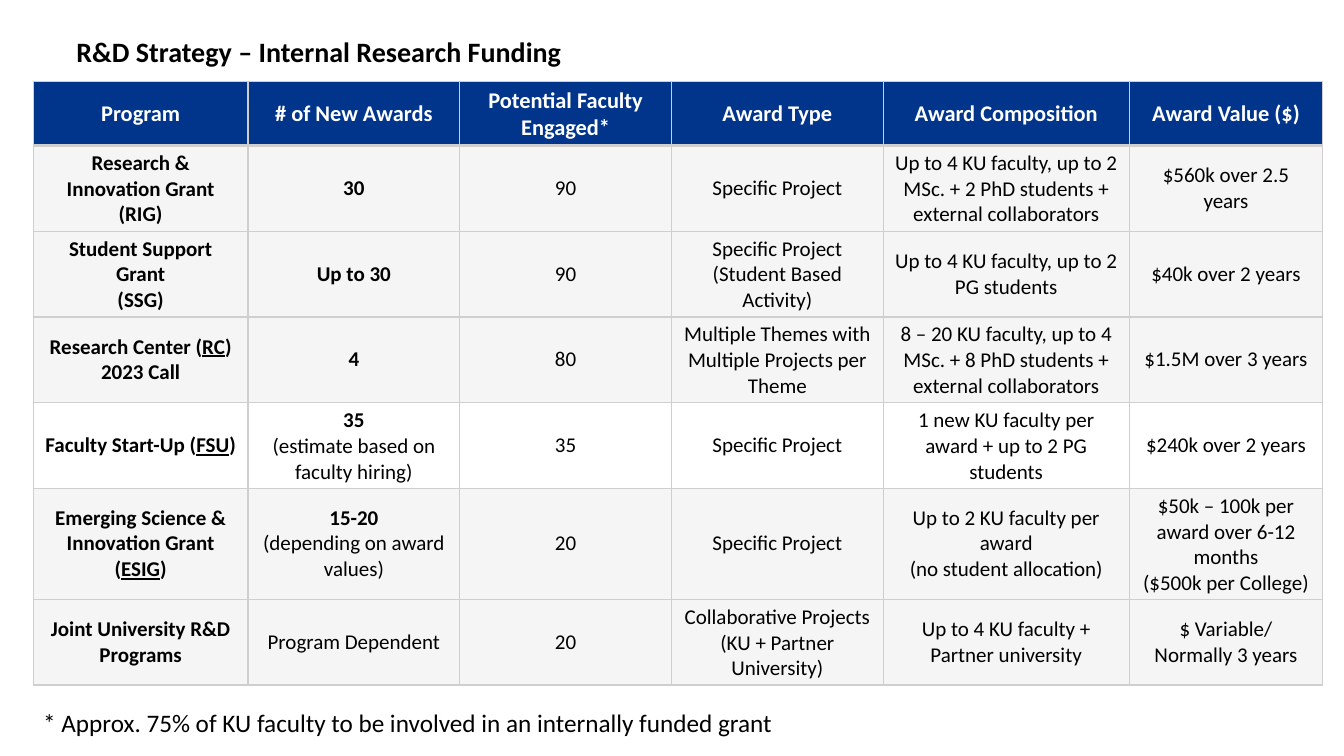
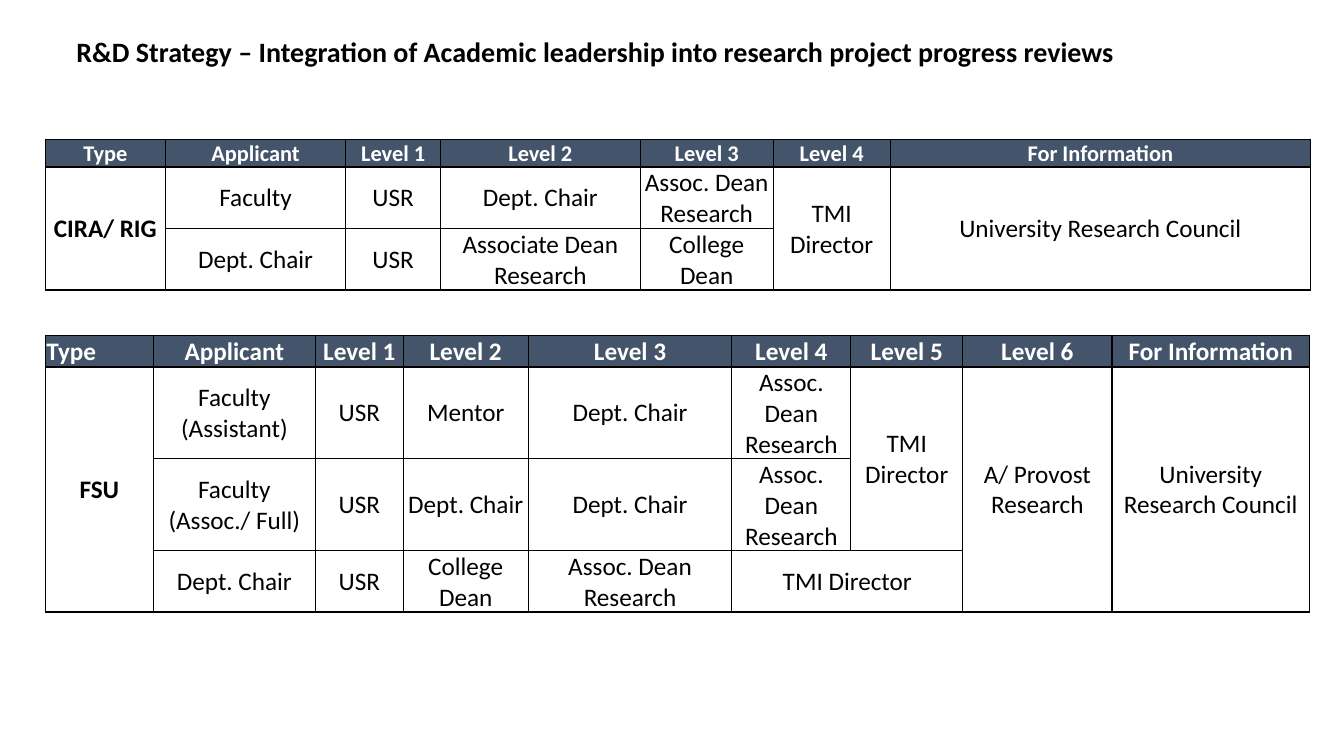
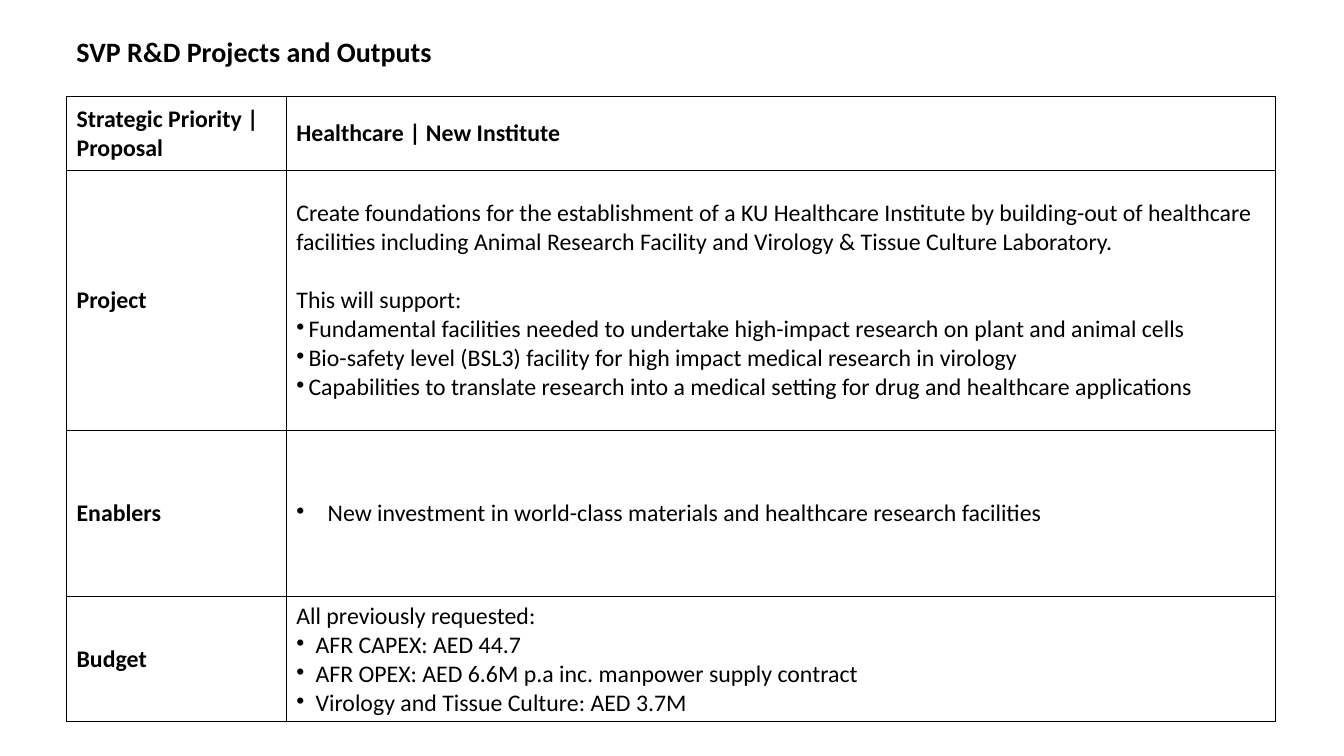
from lxml import etree
from pptx import Presentation
from pptx.dml.color import RGBColor
from pptx.enum.text import MSO_ANCHOR, MSO_AUTO_SIZE, PP_ALIGN
from pptx.oxml.ns import qn
from pptx.util import Inches, Pt

CENTER, LEFT = PP_ALIGN.CENTER, PP_ALIGN.LEFT
TOP, MIDDLE, BOTTOM = MSO_ANCHOR.TOP, MSO_ANCHOR.MIDDLE, MSO_ANCHOR.BOTTOM
GROW = MSO_AUTO_SIZE.SHAPE_TO_FIT_TEXT
FONT = "Calibri"
BLACK, WHITE, BLUE, SLATE, GRAY = "000000", "FFFFFF", "00358B", "44546A", "D0CFCD"
TITLE_BOX = (0.66, 0.29, 11.99, 0.44)
TIGHT = (0.01, 0.01, 0.01, 0)

FUNDING_ROWS = [
    ["Program", "# of New Awards", "Potential Faculty Engaged*", "Award Type",
     "Award Composition", "Award Value ($)"],
    ["Research & Innovation Grant (RIG)", "**30**", "90", "Specific Project",
     "Up to 4 KU faculty, up to 2 MSc. + 2 PhD students + external collaborators",
     "$560k over 2.5 years"],
    ["Student Support Grant\n(SSG)", "**Up to 30**", "90",
     "Specific Project\n(Student Based Activity)",
     "Up to 4 KU faculty, up to 2 PG students", "$40k over 2 years"],
    ["Research Center (__RC__)\n2023 Call", "**4**", "80",
     "Multiple Themes with Multiple Projects per Theme",
     "8 – 20 KU faculty, up to 4 MSc. + 8 PhD students + external collaborators",
     "$1.5M over 3 years"],
    ["Faculty Start-Up (__FSU__)", "**35**\n(estimate based on faculty hiring)", "35",
     "Specific Project", "1 new KU faculty per award + up to 2 PG students",
     "$240k over 2 years"],
    ["Emerging Science & Innovation Grant (__ESIG__)",
     "**15-20**\n(depending on award values)", "20", "Specific Project",
     "Up to 2 KU faculty per award\n(no student allocation)",
     "$50k – 100k per award over 6-12 months\n($500k per College)"],
    ["Joint University R&D Programs", "Program Dependent", "20",
     "Collaborative Projects (KU + Partner University)",
     "Up to 4 KU faculty + Partner university", "$ Variable/ Normally 3 years"],
]
UNFILLED_FUNDING_ROW = 4

GRANT_REVIEW_ROWS = [
    ["Type", "Applicant", "Level 1", "Level 2", "Level 3", "Level 4", "For Information"],
    ["CIRA/ RIG", "Faculty", "USR", "Dept. Chair", "Assoc. Dean Research",
     "TMI Director", "University Research Council"],
    [None, "Dept. Chair", "USR", "Associate Dean Research", "College Dean", None, None],
]
STARTUP_REVIEW_ROWS = [
    ["Type", "Applicant", "Level 1", "Level 2", "Level 3", "Level 4", "Level 5",
     "Level 6", "For Information"],
    ["FSU", "Faculty (Assistant)", "USR", "Mentor", "Dept. Chair",
     "Assoc. Dean Research", "TMI Director", "A/ Provost Research",
     "University Research Council"],
    [None, "Faculty\n(Assoc./ Full)", "USR", "Dept. Chair", "Dept. Chair",
     "Assoc. Dean Research", None, None, None],
    [None, "Dept. Chair", "USR", "College Dean", "Assoc. Dean Research",
     "TMI Director", None, None, None],
]

PROJECT_ROWS = [
    ["Strategic Priority | Proposal", "**Healthcare | New Institute**"],
    ["Project",
     "Create foundations for the establishment of a KU Healthcare Institute by "
     "building-out of healthcare facilities including Animal Research Facility and "
     "Virology & Tissue Culture Laboratory.\n"
     "This will support:\n"
     "• Fundamental facilities needed to undertake high-impact research on plant and animal cells\n"
     "• Bio-safety level (BSL3) facility for high impact medical research in virology\n"
     "• Capabilities to translate research into a medical setting for drug and healthcare applications"],
    ["Enablers",
     "• New investment in world-class materials and healthcare research facilities"],
    ["Budget",
     "All previously requested:\n"
     "• AFR CAPEX: AED 44.7\n"
     "• AFR OPEX: AED 6.6M p.a inc. manpower supply contract\n"
     "• Virology and Tissue Culture: AED 3.7M"],
]
PROJECT_BULLET_INDENTS = [0, 0.12, 0.31, 0.19]


def rgb(color):
    """Turn a hex string into a colour."""
    return RGBColor.from_string(color)


def set_bullet(paragraph, indent):
    """Give a paragraph a round bullet with a hanging indent in inches."""
    properties = paragraph._p.get_or_add_pPr()
    properties.set("marL", str(Inches(indent)))
    properties.set("indent", str(-Inches(indent)))
    etree.SubElement(properties, qn("a:buChar")).set("char", "•")


def write_text(frame, text, size, color=BLACK, bold=False, align=LEFT, indent=0):
    """Write lines, where ** marks bold, __ underline and a leading • a bullet."""
    for number, line in enumerate(text.split("\n")):
        paragraph = frame.add_paragraph() if number else frame.paragraphs[0]
        paragraph.alignment = align
        if line.startswith("• "):
            set_bullet(paragraph, indent)
            line = line[2:]
        for bold_part, strong in enumerate(line.split("**")):
            for underline_part, words in enumerate(strong.split("__")):
                if not words:
                    continue
                run = paragraph.add_run()
                run.text = words
                run.font.name = FONT
                run.font.size = Pt(size)
                run.font.color.rgb = rgb(color)
                run.font.bold = bold or bold_part % 2 == 1
                run.font.underline = underline_part % 2 == 1


def add_label(slide, box, text, size, bold=False, wrap=True):
    """Add a text box that grows with its text."""
    frame = slide.shapes.add_textbox(*map(Inches, box)).text_frame
    frame.word_wrap = wrap
    frame.auto_size = GROW
    write_text(frame, text, size, bold=bold)


def add_titled_slide(presentation, title):
    """Add a blank slide with the shared title."""
    slide = presentation.slides.add_slide(presentation.slide_layouts[6])
    add_label(slide, TITLE_BOX, title, 20, bold=True)
    return slide


def fill_cell(cell, color, alpha=100):
    """Fill a cell with a colour at an opacity in percent."""
    cell.fill.solid()
    cell.fill.fore_color.rgb = rgb(color)
    if alpha < 100:
        color_element = cell._tc.tcPr.find(".//" + qn("a:srgbClr"))
        etree.SubElement(color_element, qn("a:alpha")).set("val", str(alpha * 1000))


def set_borders(cell, color, **widths):
    """Draw the four sides of a cell, one point wide unless given."""
    properties = cell._tc.get_or_add_tcPr()
    for position, side in enumerate("LRTB"):
        line = etree.Element(qn("a:ln" + side), w=str(Pt(widths.get(side, 1))))
        fill = etree.SubElement(line, qn("a:solidFill"))
        etree.SubElement(fill, qn("a:srgbClr")).set("val", color)
        properties.insert(position, line)


def add_grid(slide, left, top, columns, rows, merges=(), margins=None):
    """Add an unstyled table with the given column widths and row heights."""
    table = slide.shapes.add_table(
        len(rows), len(columns), Inches(left), Inches(top),
        Inches(sum(columns)), Inches(sum(rows))).table
    table.first_row = table.horz_banding = False
    for column, width in zip(table.columns, columns):
        column.width = Inches(width)
    for row, height in zip(table.rows, rows):
        row.height = Inches(height)
    for cell in table.iter_cells():
        cell.fill.background()
        cell.vertical_anchor = MIDDLE
        if margins:
            (cell.margin_left, cell.margin_top,
             cell.margin_right, cell.margin_bottom) = map(Inches, margins)
    for first_row, first_column, last_row, last_column in merges:
        table.cell(first_row, first_column).merge(table.cell(last_row, last_column))
    return table


def add_funding_table(slide, left, top):
    """Add the table of funding programs."""
    table = add_grid(slide, left, top, [2.13, 2.1, 2.1, 2.1, 2.44, 1.92],
                     [0.63, 0.85, 0.85, 0.85, 0.85, 1.1, 0.85])
    for row, texts in enumerate(FUNDING_ROWS):
        for column, text in enumerate(texts):
            cell = table.cell(row, column)
            if row == 0:
                fill_cell(cell, BLUE)
                write_text(cell.text_frame, text, 16, WHITE, True, CENTER)
            else:
                if row != UNFILLED_FUNDING_ROW:
                    fill_cell(cell, GRAY, 20)
                write_text(cell.text_frame, text, 15, bold=column == 0, align=CENTER)
            set_borders(cell, GRAY, T=2 if row == 1 else 1, B=2 if row == 0 else 1)


def add_review_table(slide, left, top, columns, heights, texts, merges,
                     header_size, type_align=CENTER):
    """Add a table of review levels for one kind of grant."""
    table = add_grid(slide, left, top, columns, heights, merges, TIGHT)
    for row, row_texts in enumerate(texts):
        for column, text in enumerate(row_texts):
            cell = table.cell(row, column)
            if row == 0:
                fill_cell(cell, SLATE)
                cell.vertical_anchor = BOTTOM
                write_text(cell.text_frame, text, header_size, WHITE, True,
                           CENTER if column else type_align)
            elif text:
                write_text(cell.text_frame, text, 18, bold=column == 0, align=CENTER)
            set_borders(cell, BLACK)


def add_project_table(slide, left, top):
    """Add the table that describes one project."""
    table = add_grid(slide, left, top, [2.18, 9.81], [0.73, 2.58, 1.65, 1.23])
    for row, (label, text) in enumerate(PROJECT_ROWS):
        write_text(table.cell(row, 0).text_frame, label, 17, bold=True)
        write_text(table.cell(row, 1).text_frame, text, 17,
                   indent=PROJECT_BULLET_INDENTS[row])
    for cell in table.iter_cells():
        set_borders(cell, BLACK)
    table.cell(1, 1).text_frame.paragraphs[1].space_before = Pt(21)
    table.cell(3, 1).vertical_anchor = TOP


def build_funding_slide(presentation):
    """Build the slide on internal funding."""
    slide = add_titled_slide(presentation, "R&D Strategy – Internal Research Funding")
    add_funding_table(slide, 0.33, 0.81)
    add_label(slide, (0.33, 6.97, 7.64, 0.4),
              "* Approx. 75% of KU faculty to be involved in an internally funded grant",
              18, wrap=False)


def build_review_slide(presentation):
    """Build the slide on progress reviews."""
    slide = add_titled_slide(
        presentation,
        "R&D Strategy – Integration of Academic leadership into research project progress reviews")
    add_review_table(slide, 0.45, 1.38, [1.19, 1.79, 0.94, 1.98, 1.32, 1.16, 4.17],
                     [0.27, 0.61, 0.61], GRANT_REVIEW_ROWS,
                     [(1, column, 2, column) for column in (0, 5, 6)], 16)
    add_review_table(slide, 0.45, 3.33,
                     [1.07, 1.61, 0.87, 1.24, 2.02, 1.18, 1.11, 1.48, 1.96],
                     [0.31, 0.9, 0.9, 0.61], STARTUP_REVIEW_ROWS,
                     [(1, column, 3, column) for column in (0, 7, 8)]
                     + [(1, 6, 2, 6), (3, 5, 3, 6)], 18, LEFT)


def build_project_slide(presentation):
    """Build the slide on projects and outputs."""
    slide = add_titled_slide(presentation, "SVP R&D Projects and Outputs")
    add_project_table(slide, 0.66, 0.96)


def main():
    """Build and save the presentation."""
    presentation = Presentation()
    presentation.slide_width = Inches(13.33)
    presentation.slide_height = Inches(7.5)
    build_funding_slide(presentation)
    build_review_slide(presentation)
    build_project_slide(presentation)
    presentation.save("out.pptx")


if __name__ == "__main__":
    main()
